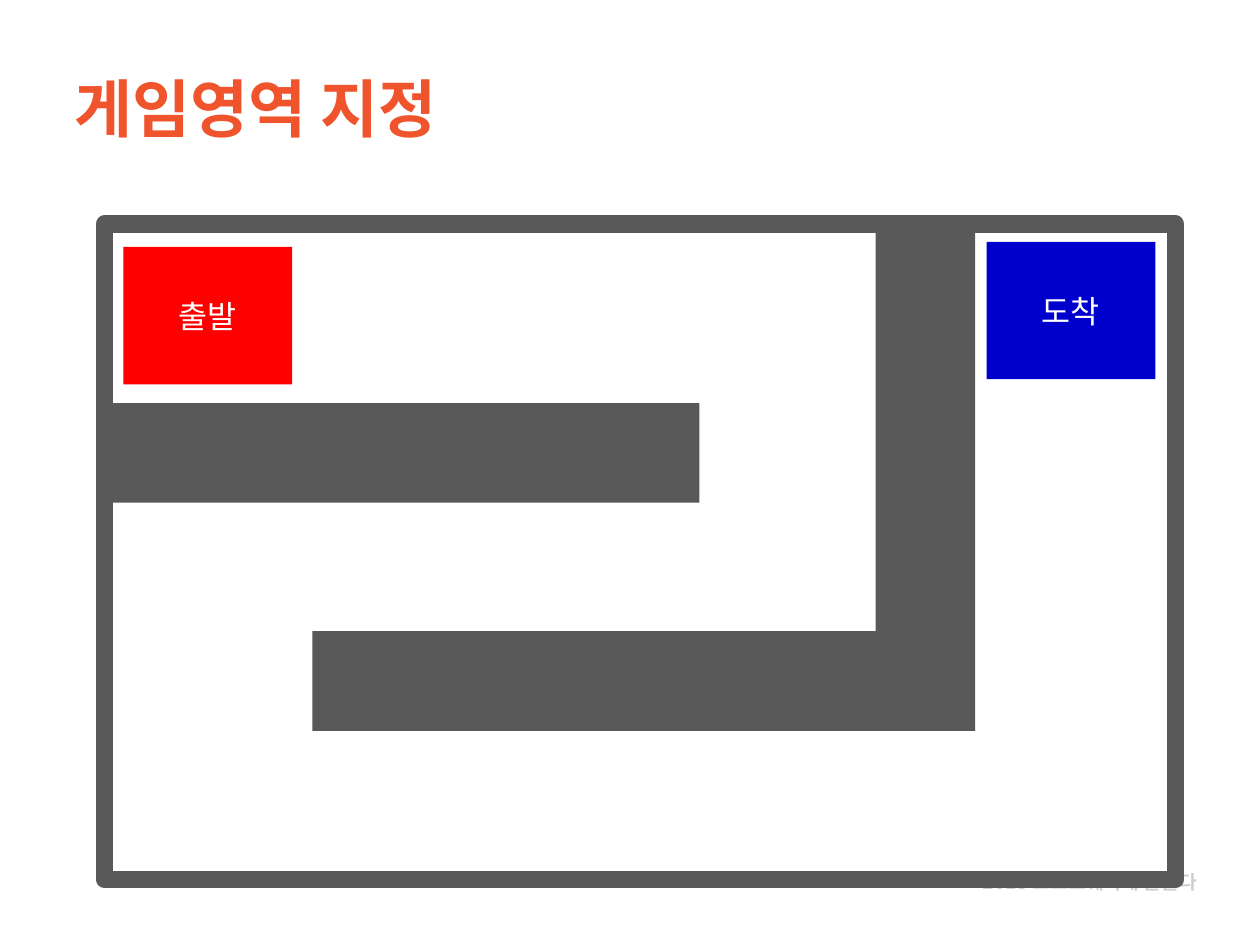
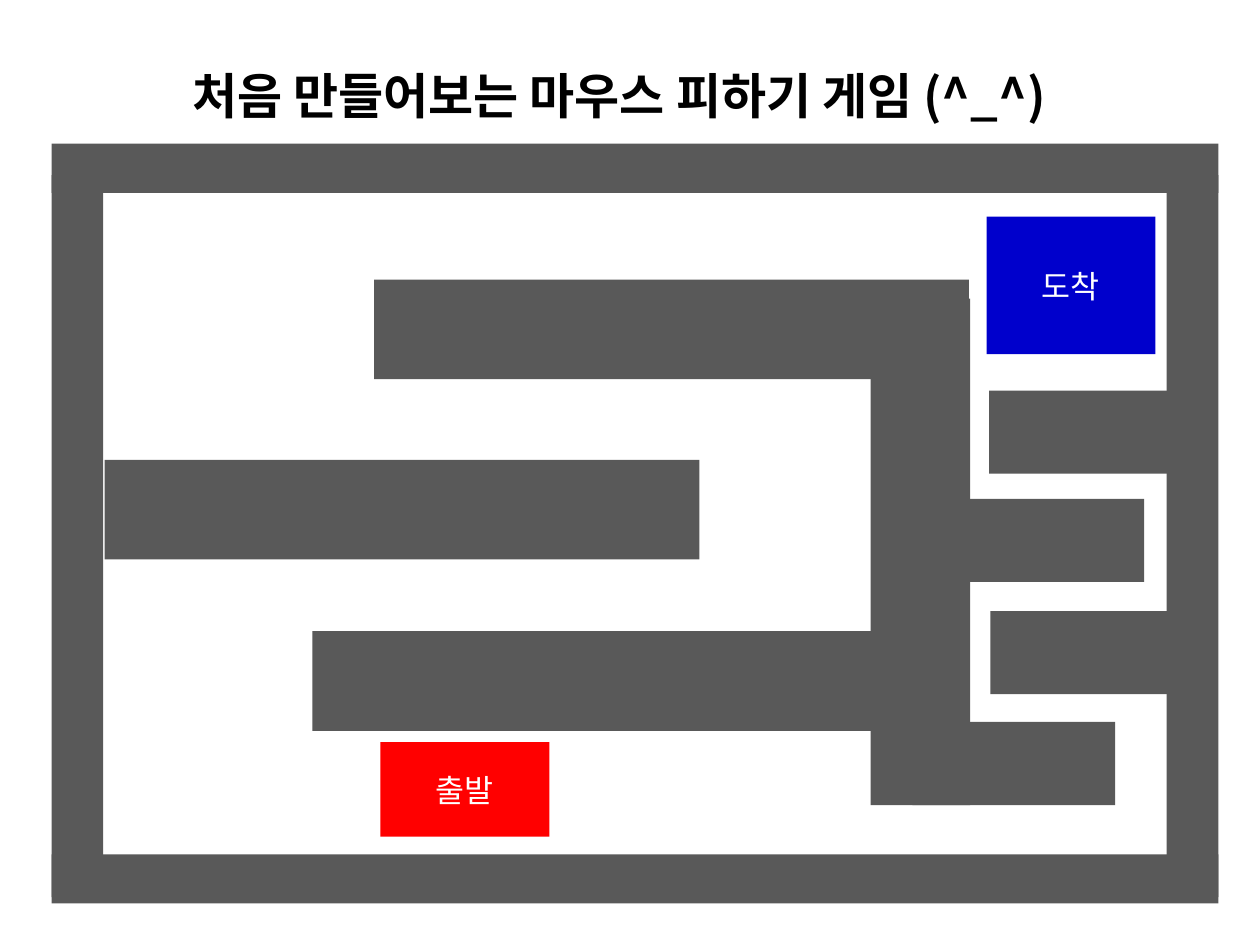
from dataclasses import dataclass

from lxml import etree
from pptx import Presentation
from pptx.dml.color import RGBColor
from pptx.enum.shapes import MSO_SHAPE
from pptx.enum.text import MSO_ANCHOR, PP_ALIGN
from pptx.oxml.ns import qn
from pptx.util import Pt

RECTANGLE = MSO_SHAPE.RECTANGLE
TOP, MIDDLE = MSO_ANCHOR.TOP, MSO_ANCHOR.MIDDLE
LEFT, CENTER, RIGHT = PP_ALIGN.LEFT, PP_ALIGN.CENTER, PP_ALIGN.RIGHT


@dataclass(frozen=True)
class Theme:
    font: str = "Noto Sans CJK KR"
    title: str = "F0542C"
    heading: str = "000000"
    footer: str = "0D0D0D"
    wall: str = "595959"
    floor: str = "FFFFFF"
    start: str = "FF0000"
    goal: str = "0000CC"
    label: str = "FFFFFF"
    title_size: int = 36
    heading_size: int = 28
    label_size: int = 18
    footer_size: int = 11
    footer_opacity: int = 20


THEME = Theme()
BAR_LENGTH, BAR_THICKNESS = 339.84, 56.88
COLUMN_HEIGHT = 289.44
STUB_WIDTH, STUB_HEIGHT = 115.92, 47.52
ZONE_WIDTH, ZONE_HEIGHT = 96.48, 78.48


def add_run(paragraph, text, size, color, bold=False, opacity=100):
    run = paragraph.add_run()
    run.text = text
    font = run.font
    font.name = THEME.font
    font.size = Pt(size)
    font.bold = bold
    font.color.rgb = RGBColor.from_string(color)
    properties = run._r.get_or_add_rPr()
    if opacity < 100:
        fill = properties.find(qn("a:solidFill"))
        etree.SubElement(fill[0], qn("a:alpha"), val=str(opacity * 1000))
    east_asian = etree.Element(qn("a:ea"), typeface=THEME.font)
    properties.find(qn("a:latin")).addnext(east_asian)


def add_text(slide, box, text, size, color, align=LEFT, anchor=TOP,
             inset=7.2, spacing=1.0, bold=True, opacity=100):
    shape = slide.shapes.add_textbox(*map(Pt, box))
    frame = shape.text_frame
    frame.word_wrap = True
    frame.vertical_anchor = anchor
    frame.margin_left = Pt(inset)
    paragraph = frame.paragraphs[0]
    paragraph.alignment = align
    paragraph.line_spacing = spacing
    add_run(paragraph, text, size, color, bold, opacity)


def add_block(slide, left, top, width, height, color):
    shape = slide.shapes.add_shape(RECTANGLE, Pt(left), Pt(top), Pt(width), Pt(height))
    shape.shadow.inherit = False
    shape.fill.solid()
    shape.fill.fore_color.rgb = RGBColor.from_string(color)
    shape.line.fill.background()
    return shape


def add_wall(slide, left, top, width, height):
    add_block(slide, left, top, width, height, THEME.wall)


def add_bar(slide, left, top):
    add_wall(slide, left, top, BAR_LENGTH, BAR_THICKNESS)


def add_column(slide, left, top):
    add_wall(slide, left, top, BAR_THICKNESS, COLUMN_HEIGHT)


def add_stub(slide, left, top):
    add_wall(slide, left, top, STUB_WIDTH, STUB_HEIGHT)


def add_zone(slide, left, top, text, color, height=ZONE_HEIGHT):
    shape = add_block(slide, left, top, ZONE_WIDTH, height, color)
    frame = shape.text_frame
    frame.vertical_anchor = MIDDLE
    paragraph = frame.paragraphs[0]
    paragraph.alignment = CENTER
    add_run(paragraph, text, THEME.label_size, THEME.label)


def add_start(slide, left, top, height=ZONE_HEIGHT):
    add_zone(slide, left, top, "출발", THEME.start, height)


def add_goal(slide, left, top):
    add_zone(slide, left, top, "도착", THEME.goal)


def add_arena(slide, left, top, width, height):
    arena = add_block(slide, left, top, width, height, THEME.floor)
    arena.line.color.rgb = RGBColor.from_string(THEME.wall)
    arena.line.width = Pt(10)


def add_border(slide):
    left, width = 29.52, 666.72
    for top in (82.08, 488.16):
        add_wall(slide, left, top, width, 28.08)
    side = 29.52
    for side_left in (left, left + width - side):
        add_wall(slide, side_left, 100.08, side, 412.56)


def build_area_slide(slide):
    add_text(slide, (379.44, 491.04, 311.76, 21.6), "2018 소프트웨어에 물들다",
             THEME.footer_size, THEME.footer, align=RIGHT, spacing=1.2,
             opacity=THEME.footer_opacity)
    add_text(slide, (42.48, 39.6, 620.64, 48.96), "게임영역 지정",
             THEME.title_size, THEME.title, anchor=MIDDLE, inset=0, spacing=0.9)
    add_arena(slide, 59.76, 128.16, 612, 374.4)
    add_goal(slide, 563.76, 138.24)
    add_start(slide, 70.56, 141.12)
    add_bar(slide, 59.76, 230.4)
    add_column(slide, 500.4, 128.16)
    add_bar(slide, 178.56, 360.72)


def build_game_slide(slide):
    add_goal(slide, 563.76, 123.84)
    add_column(slide, 497.52, 170.64)
    for left, top in ((59.76, 262.8), (178.56, 360.72), (213.84, 159.84)):
        add_bar(slide, left, top)
    add_border(slide)
    add_text(slide, (102.96, 33.84, 545.04, 41.04),
             "처음 만들어보는 마우스 피하기 게임 (^_^)",
             THEME.heading_size, THEME.heading)
    add_start(slide, 217.44, 424.08, height=54)
    for left, top in ((521.28, 412.56), (537.84, 285.12),
                      (565.2, 223.2), (565.92, 349.2)):
        add_stub(slide, left, top)


def main():
    presentation = Presentation()
    presentation.slide_width = Pt(720)
    presentation.slide_height = Pt(540)
    blank = presentation.slide_layouts[6]
    for build in (build_area_slide, build_game_slide):
        build(presentation.slides.add_slide(blank))
    presentation.save("out.pptx")


main()
